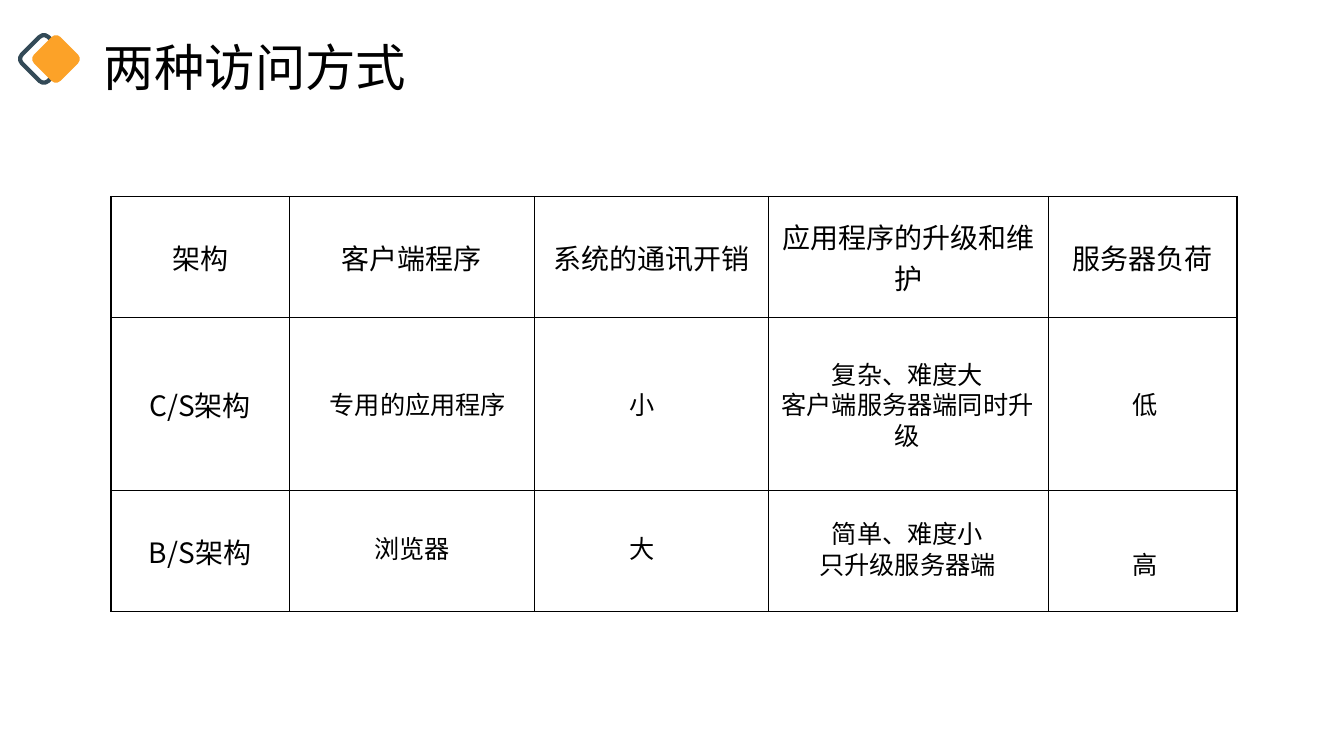
from lxml.etree import SubElement
from pptx import Presentation
from pptx.dml.color import RGBColor
from pptx.enum.shapes import MSO_SHAPE
from pptx.enum.text import MSO_ANCHOR, MSO_AUTO_SIZE, PP_ALIGN
from pptx.oxml.ns import qn
from pptx.util import Inches, Pt

BLACK = RGBColor(0x00, 0x00, 0x00)
SLATE = RGBColor(0x33, 0x4A, 0x57)
ORANGE = RGBColor(0xFC, 0xA2, 0x28)
FONT = "Noto Sans CJK SC"

COLS = [1.77, 2.43, 2.32, 2.78, 1.87]
ROWS = [1.2, 1.72, 1.2]
HEADS = ["架构", "客户端程序", "系统的通讯开销", "应用程序的升级和维护", "服务器负荷"]
SIDES = ["C/S架构", "B/S架构"]

# left, top, width, height, wraps, lines
NOTES = [
    (3.17, 3.81, 1.95, 0.4, False, ["专用的应用程序"]),
    (6.14, 3.81, 0.45, 0.4, False, ["小"]),
    (7.61, 3.51, 2.78, 1.01, True, ["复杂、难度大", "客户端服务器端同时升级"]),
    (11.13, 3.81, 0.45, 0.4, False, ["低"]),
    (3.61, 5.24, 0.95, 0.4, False, ["浏览器"]),
    (6.14, 5.24, 0.45, 0.4, False, ["大"]),
    (7.61, 5.09, 2.78, 0.71, True, ["简单、难度小", "只升级服务器端"]),
    (11.13, 5.4, 0.45, 0.4, False, ["高"]),
]


def place(shape, left, top, width, height):
    shape.left, shape.top = Inches(left), Inches(top)
    shape.width, shape.height = Inches(width), Inches(height)


def write(frame, lines, size, align=PP_ALIGN.CENTER, pitch=None):
    """Fill a text frame, one paragraph a line; pitch is the line height in points."""
    for i, line in enumerate(lines):
        para = frame.add_paragraph() if i else frame.paragraphs[0]
        para.alignment = align
        if pitch:
            para.line_spacing = Pt(pitch)
        run = para.add_run()
        run.text = line
        run.font.size = Pt(size)
        run.font.color.rgb = BLACK
        run.font.name = FONT
        SubElement(run.font._element, qn("a:ea"), typeface=FONT)


def add_title(slide, left, top, width, height):
    title = slide.shapes.title
    place(title, left, top, width, height)
    frame = title.text_frame
    frame.word_wrap = True
    frame.auto_size = MSO_AUTO_SIZE.NONE
    frame.vertical_anchor = MSO_ANCHOR.TOP
    write(frame, ["两种访问方式"], 36, PP_ALIGN.LEFT, 44)


def add_badge(slide, left, top, side, shift):
    """Draw an outlined diamond with a solid one shifted to its right."""
    for i in range(2):
        tile = slide.shapes.add_shape(
            MSO_SHAPE.ROUNDED_RECTANGLE, Inches(left + i * shift),
            Inches(top), Inches(side), Inches(side))
        tile.shadow.inherit = False
        tile.rotation = 45
        if i:
            tile.fill.solid()
            tile.fill.fore_color.rgb = ORANGE
            tile.line.fill.background()
        else:
            tile.fill.background()
            tile.line.color.rgb = SLATE
            tile.line.width = Pt(3)


def edge(cell):
    props = cell._tc.get_or_add_tcPr()
    for tag in ("a:lnL", "a:lnR", "a:lnT", "a:lnB"):
        line = SubElement(props, qn(tag), w=str(Pt(1)))
        fill = SubElement(line, qn("a:solidFill"))
        SubElement(fill, qn("a:srgbClr"), val=str(BLACK))


def add_grid(slide, left, top):
    table = slide.shapes.add_table(
        len(ROWS), len(COLS), Inches(left), Inches(top),
        Inches(sum(COLS)), Inches(sum(ROWS))).table
    table.first_row = table.horz_banding = False
    for col, width in zip(table.columns, COLS):
        col.width = Inches(width)
    for row, height in zip(table.rows, ROWS):
        row.height = Inches(height)
    for cell in table.iter_cells():
        edge(cell)
        cell.fill.background()
        cell.vertical_anchor = MSO_ANCHOR.MIDDLE
    for c, head in enumerate(HEADS):
        write(table.cell(0, c).text_frame, [head], 20)
    for r, side in enumerate(SIDES, 1):
        write(table.cell(r, 0).text_frame, [side], 20)


def add_note(slide, left, top, width, height, wraps, lines):
    box = slide.shapes.add_textbox(
        Inches(left), Inches(top), Inches(width), Inches(height))
    box.text_frame.word_wrap = wraps
    box.text_frame.auto_size = MSO_AUTO_SIZE.SHAPE_TO_FIT_TEXT
    write(box.text_frame, lines, 18, pitch=21.8)


def main():
    deck = Presentation()
    deck.slide_width, deck.slide_height = Inches(13.33), Inches(7.5)
    slide = deck.slides.add_slide(deck.slide_layouts[5])
    add_grid(slide, 1.1, 1.95)
    for note in NOTES:
        add_note(slide, *note)
    add_title(slide, 0.93, 0.3, 6.46, 0.71)
    add_badge(slide, 0.25, 0.4, 0.37, 0.12)
    deck.save("out.pptx")


if __name__ == "__main__":
    main()
